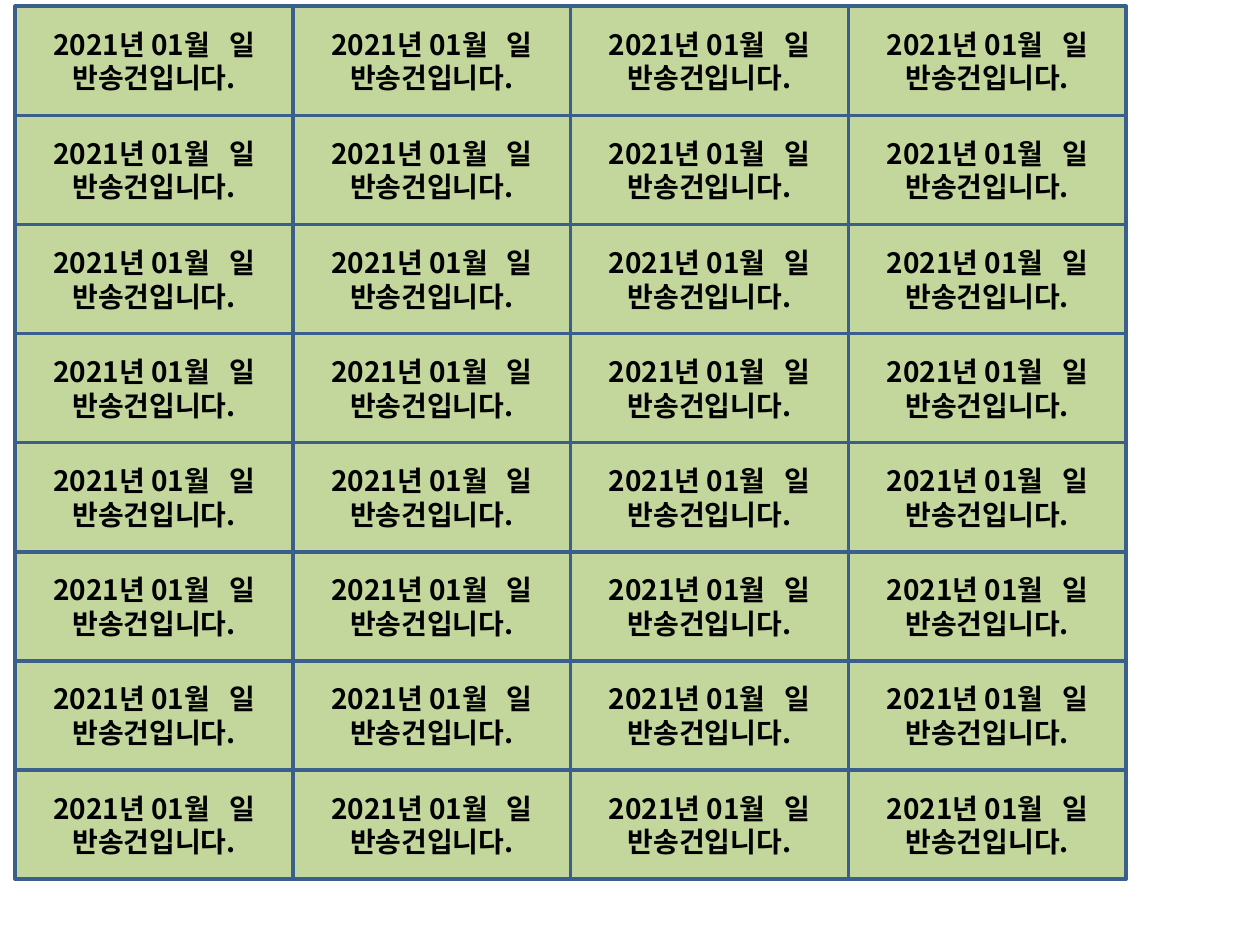
from dataclasses import dataclass
from itertools import product

from lxml import etree
from pptx import Presentation
from pptx import util as u
from pptx.dml.color import RGBColor
from pptx.enum import shapes, text
from pptx.oxml import ns


@dataclass(frozen=True)
class Theme:
    label_fill: str = "C3D69B"
    border: str = "3A5F8C"
    ink: str = "000000"
    font: str = "Noto Sans CJK KR"
    label_size: int = 16


THEME = Theme()
COLUMNS, ROWS = 4, 8
LEFT, TOP = 8.7, 3.6
WIDTH, HEIGHT = 158.7, 62.35


def write(box, words, *, size, color, font, bold=False):
    """Put one centred paragraph in the box, with the font for Latin and Korean."""
    frame = box.text_frame
    frame.word_wrap = True
    frame.vertical_anchor = text.MSO_ANCHOR.MIDDLE
    para = frame.paragraphs[0]
    para.alignment = text.PP_ALIGN.CENTER
    span = para.add_run()
    span.text = words
    span.font.size = u.Pt(size)
    span.font.bold = bold
    span.font.color.rgb = RGBColor.from_string(color)
    span.font.name = font
    etree.SubElement(span.font._element, ns.qn("a:ea"), typeface=font)


deck = Presentation()
deck.slide_width, deck.slide_height = u.Pt(720), u.Pt(540)
page = deck.slides.add_slide(deck.slide_layouts[6])

for column, row in product(range(COLUMNS), range(ROWS)):
    label = page.shapes.add_shape(
        shapes.MSO_SHAPE.RECTANGLE,
        u.Pt(LEFT + column * WIDTH), u.Pt(TOP + row * HEIGHT),
        u.Pt(WIDTH), u.Pt(HEIGHT),
    )
    label.shadow.inherit = False
    label.fill.solid()
    label.fill.fore_color.rgb = RGBColor.from_string(THEME.label_fill)
    label.line.color.rgb = RGBColor.from_string(THEME.border)
    label.line.width = u.Pt(2)
    write(label, "2021년 01월   일 반송건입니다.", size=THEME.label_size,
          color=THEME.ink, font=THEME.font, bold=True)

deck.save("out.pptx")
